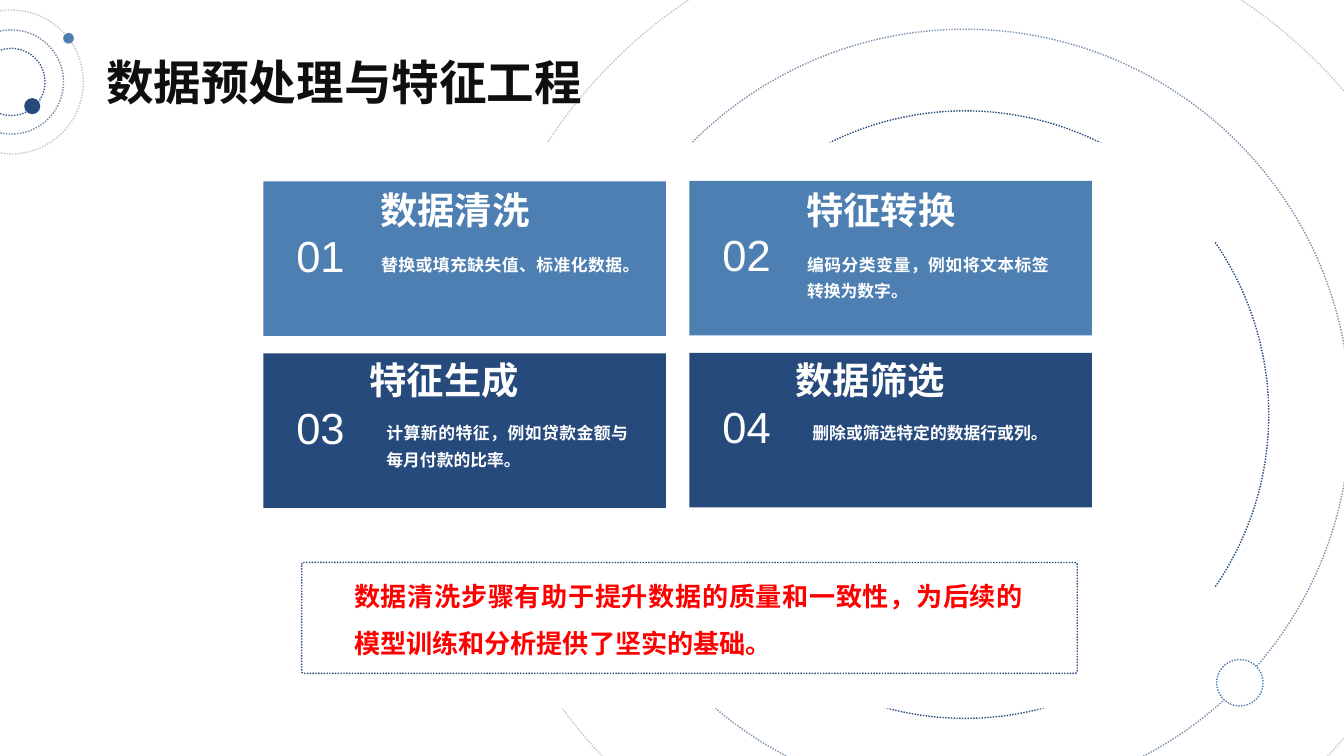
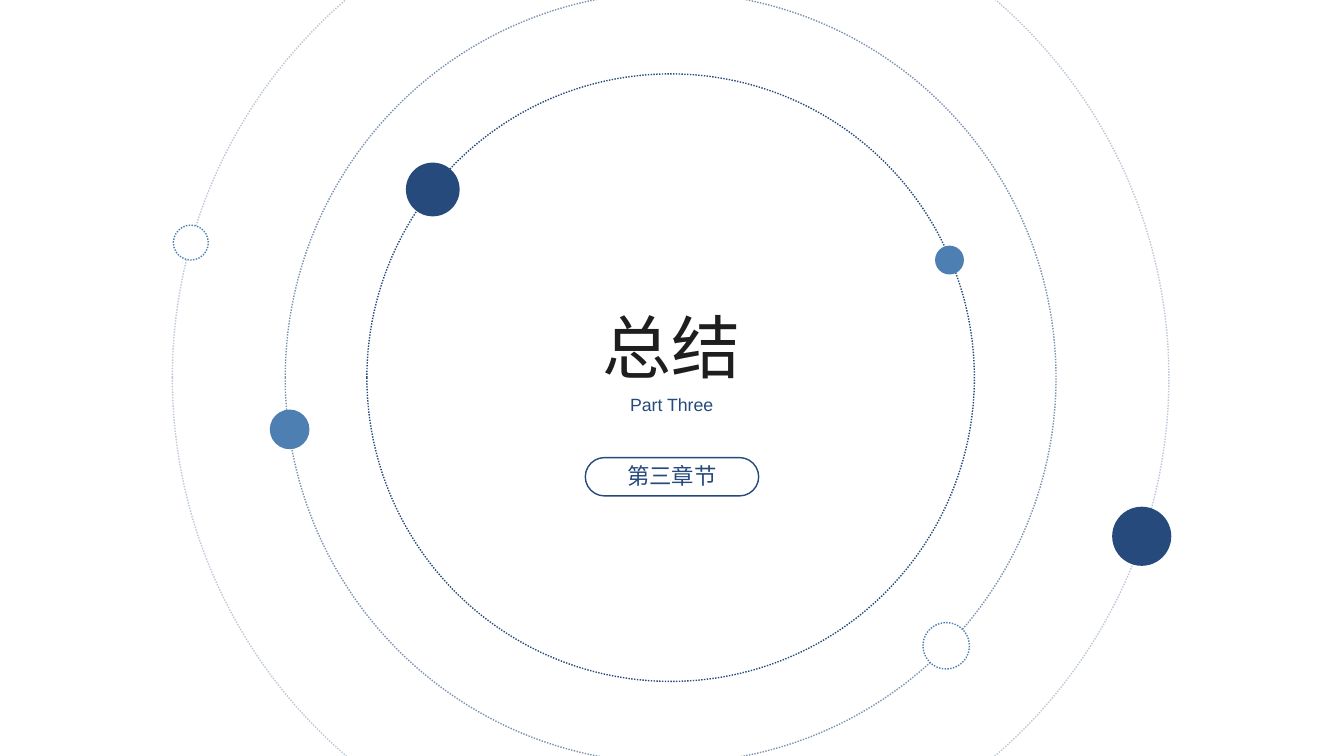
from lxml import etree
from pptx import Presentation
from pptx import util as u
from pptx.dml.color import RGBColor
from pptx.enum import dml, shapes, text
from pptx.oxml import ns

NAVY = RGBColor(0x26, 0x4A, 0x7B)
BLUE = RGBColor(0x4D, 0x7F, 0xB2)
WHITE = RGBColor(0xFF, 0xFF, 0xFF)
RED = RGBColor(0xFF, 0x00, 0x00)
BLACK = RGBColor(0x10, 0x0F, 0x0D)
CHARCOAL = RGBColor(0x1E, 0x1E, 0x1E)

HAN = "Noto Sans CJK SC"
LATIN = "Arial"
PLAIN = "Calibri"
COLUMNS, ROWS = 20, 11.25
TITLE_SLIDE, TITLE_ONLY = 0, 5
SHAPE = shapes.MSO_SHAPE
LEFT, CENTER, JUSTIFY = text.PP_ALIGN.LEFT, text.PP_ALIGN.CENTER, text.PP_ALIGN.JUSTIFY

ORBITS = ((14.83, 30), (11.47, 60), (9.04, 100))
SMALL_ORBITS = ((2.14, 30), (1.55, 65), (1, 90))
CARDS = (
    ("数据清洗", "替换或填充缺失值、标准化数据。"),
    ("特征转换", "编码分类变量，例如将文本标签转换为数字。"),
    ("特征生成", "计算新的特征，例如贷款金额与每月付款的比率。"),
    ("数据筛选", "删除或筛选特定的数据行或列。"),
)
CARD_ROWS = (
    (BLUE, (1.74, 0.36), (1.75, 1)),
    (NAVY, (1.58, 0.33), (1.83, 0.94)),
)


class Designer:
    """Draws styled elements on the current slide, measured in grid columns and rows."""

    def __init__(self):
        self.deck = Presentation()
        self.deck.slide_width = u.Inches(20)
        self.deck.slide_height = u.Inches(11.25)
        self.page = None

    def new_page(self, layout):
        self.page = self.deck.slides.add_slide(self.deck.slide_layouts[layout])

    def place(self, left, top, width, height):
        column = self.deck.slide_width / COLUMNS
        row = self.deck.slide_height / ROWS
        return [round(length) for length in
                (left * column, top * row, width * column, height * row)]

    def shape(self, kind, area, fill=None, line=None, dotted=True, opacity=100, corner=None):
        shape = self.page.shapes.add_shape(kind, *self.place(*area))
        shape.shadow.inherit = False
        if corner is not None:
            shape.adjustments[0] = corner
        if fill is None:
            shape.fill.background()
        else:
            shape.fill.solid()
            shape.fill.fore_color.rgb = fill
        if line is None:
            shape.line.fill.background()
            return
        shape.line.color.rgb = line
        shape.line.width = u.Pt(1.5)
        if dotted:
            shape.line.dash_style = dml.MSO_LINE.ROUND_DOT
        if opacity < 100:
            color = shape.line._ln.find(".//" + ns.qn("a:srgbClr"))
            etree.SubElement(color, ns.qn("a:alpha"), val=str(opacity * 1000))

    def circle(self, center, diameter, **style):
        x, y = center
        area = (x - diameter / 2, y - diameter / 2, diameter, diameter)
        self.shape(SHAPE.OVAL, area, **style)

    def orbits(self, center, rings):
        for diameter, opacity in rings:
            self.circle(center, diameter, line=NAVY, opacity=opacity)

    def ring(self, center, diameter):
        self.circle(center, diameter, fill=WHITE, line=BLUE)

    def set_words(self, box, area, words, size, color, font=HAN, bold=False,
                  align=LEFT, spacing=1.0):
        box.left, box.top, box.width, box.height = self.place(*area)
        frame = box.text_frame
        frame.word_wrap = True
        frame.auto_size = text.MSO_AUTO_SIZE.NONE
        frame.vertical_anchor = text.MSO_ANCHOR.TOP
        frame.margin_left = frame.margin_right = frame.margin_top = frame.margin_bottom = 0
        frame.text = words
        para = frame.paragraphs[0]
        para.alignment = align
        para.space_before = u.Pt(0)
        para.line_spacing = spacing
        para.font.size = u.Pt(size)
        para.font.bold = bold
        para.font.color.rgb = color
        para.font.name = font
        defaults = para._p.pPr.find(ns.qn("a:defRPr"))
        etree.SubElement(defaults, ns.qn("a:ea"), typeface=font)

    def textbox(self, area, words, size, color, **style):
        box = self.page.shapes.add_textbox(*self.place(*area))
        self.set_words(box, area, words, size, color, **style)

    def placeholder(self, index, area, words, size, color, **style):
        self.set_words(self.page.placeholders[index], area, words, size, color, **style)

    def card(self, index, heading, body):
        row, column = divmod(index, 2)
        fill, heading_offset, body_offset = CARD_ROWS[row]
        left = 3.92 + 6.34 * column
        top = 2.7 + 2.56 * row - 0.01 * column
        style = {"bold": True, "align": JUSTIFY, "spacing": u.Pt(28.6)}
        self.shape(SHAPE.RECTANGLE, (left, top, 5.99, 2.3), fill=fill)
        self.textbox((left + 0.49, top + 0.71, 1.05, 0.78), f"{index + 1:02}",
                     46.6, WHITE, font=LATIN, spacing=u.Pt(55.9))
        for (x, y), height, words, size in ((heading_offset, 0.55, heading, 40),
                                            (body_offset, 0.8, body, 18)):
            self.textbox((left + x, top + y, 3.6, height), words, size, WHITE, **style)


def build_features(designer):
    designer.new_page(TITLE_ONLY)
    designer.orbits((14.36, 6.17), ORBITS)
    designer.ring((18.45, 10.16), 0.69)
    designer.shape(SHAPE.RECTANGLE, (2.08, 2.12, 16, 8.42), fill=WHITE)
    designer.placeholder(0, (1.58, 0.79, 8.2, 0.86), "数据预处理与特征工程", 51, BLACK,
                         bold=True, spacing=u.Pt(61.2))
    designer.orbits((0.17, 1.22), SMALL_ORBITS)
    designer.circle((0.48, 1.58), 0.24, fill=NAVY)
    designer.circle((1.02, 0.57), 0.16, fill=BLUE)
    for index, (heading, body) in enumerate(CARDS):
        designer.card(index, heading, body)
    designer.shape(SHAPE.ROUNDED_RECTANGLE, (4.49, 8.37, 11.54, 1.65), line=NAVY, corner=0.02)
    designer.textbox((5.27, 8.4, 9.95, 1.41),
                     "数据清洗步骤有助于提升数据的质量和一致性，为后续的模型训练和分析提供了坚实的基础。",
                     28, RED, bold=True, align=JUSTIFY, spacing=1.5)


def build_summary(designer):
    designer.new_page(TITLE_SLIDE)
    designer.orbits((9.98, 5.62), ORBITS)
    for center, diameter, fill in (((6.44, 2.82), 0.8, NAVY), ((14.13, 3.87), 0.43, BLUE),
                                   ((16.99, 7.98), 0.88, NAVY), ((4.31, 6.39), 0.59, BLUE)):
        designer.circle(center, diameter, fill=fill)
    designer.ring((14.08, 9.61), 0.69)
    designer.ring((2.84, 3.61), 0.52)
    designer.placeholder(0, (5.82, 4.4, 8.36, 1.37), "总结", 74, CHARCOAL,
                         font=PLAIN, align=CENTER, spacing=u.Pt(97.7))
    designer.placeholder(1, (6.73, 5.86, 6.53, 0.32), "Part Three", 19, NAVY,
                         font=LATIN, align=CENTER, spacing=u.Pt(22.8))
    designer.shape(SHAPE.ROUNDED_RECTANGLE, (8.71, 6.81, 2.58, 0.57), line=NAVY,
                   dotted=False, corner=0.5)
    designer.textbox((8.96, 6.84, 2.08, 0.43), "第三章节", 24, NAVY,
                     font=PLAIN, align=CENTER, spacing=u.Pt(31.7))


def main():
    designer = Designer()
    build_features(designer)
    build_summary(designer)
    designer.deck.save("out.pptx")


if __name__ == "__main__":
    main()
